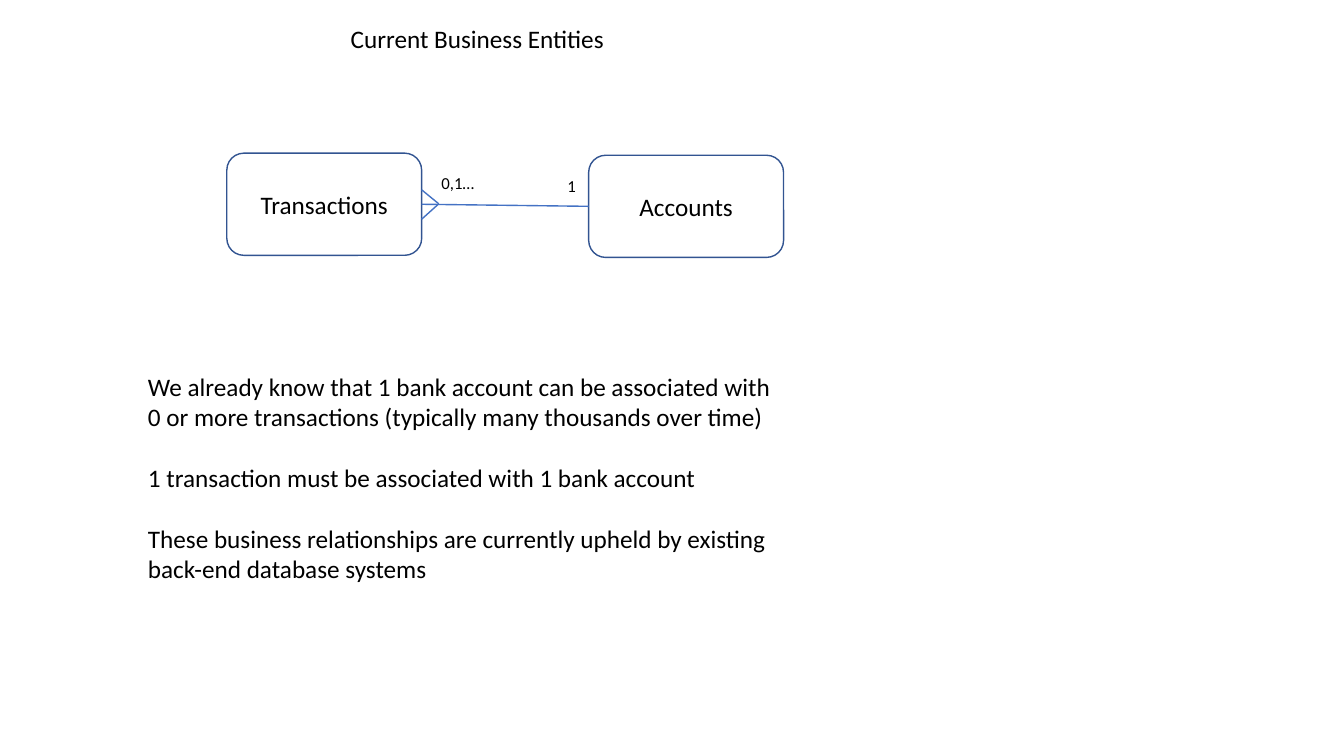
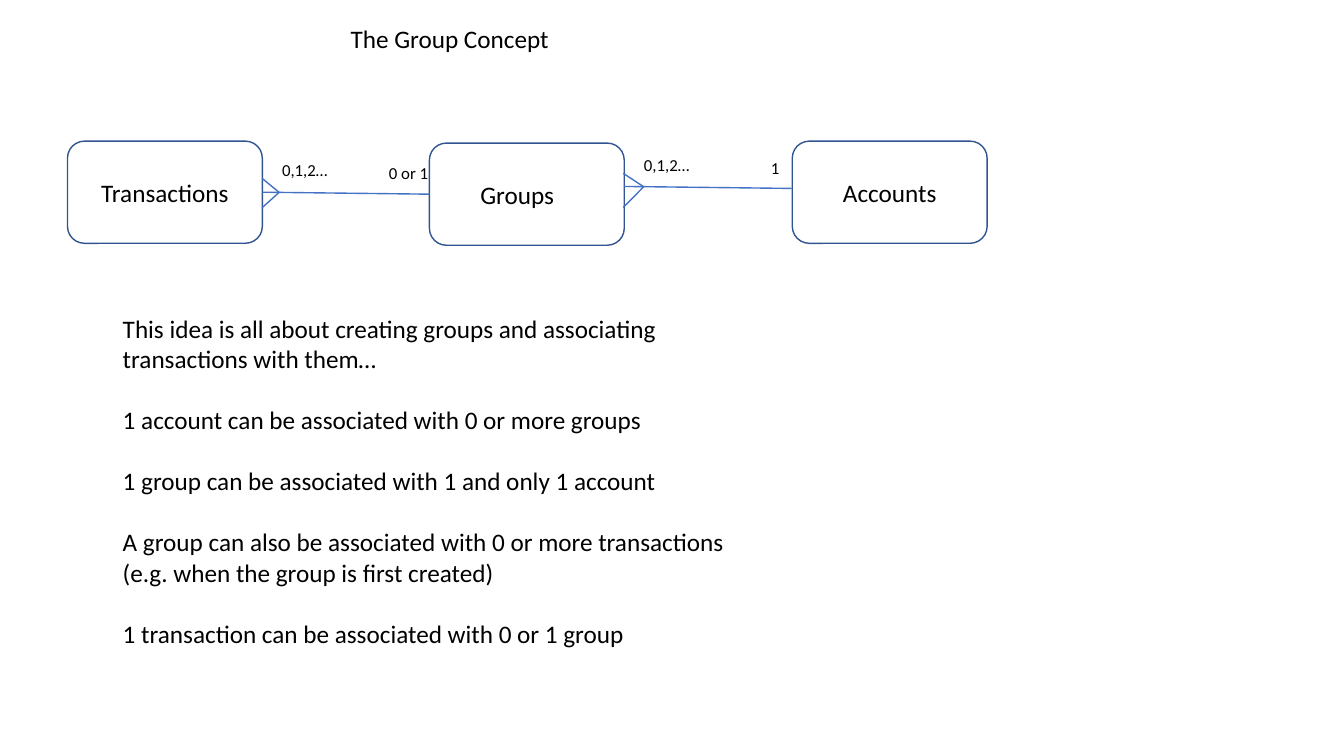
"""Two slides on how transactions, groups and accounts relate."""
from lxml.etree import SubElement
from pptx import Presentation
from pptx.dml.color import RGBColor
from pptx.enum.shapes import MSO_CONNECTOR, MSO_SHAPE
from pptx.enum.text import MSO_ANCHOR, PP_ALIGN
from pptx.oxml.ns import qn
from pptx.util import Pt

COLORS = {"text": "000000", "outline": "325491", "link": "4472C4"}
FONT = "Calibri"
BOX_WIDTH, BOX_HEIGHT = 139.2, 73
LINE_GAP = 22

SLIDES = [
    {
        "title": "Current Business Entities",
        "boxes": [("Transactions", 162, 109.4, 0), ("Accounts", 420.5, 110.9, 0)],
        "joined": [(1, 0)],
        "free": [],
        "feet": [(301.2, 313.4, 145.6, 10, 11)],
        "labels": [("1", 398.2, 121.7, 29.5), ("0,1…", 308.2, 119.5, 43.2)],
        "body": (98.6, 261.4, 160, [
            "We already know that 1 bank account can be associated with 0 or more "
            "transactions (typically many thousands over time)",
            "1 transaction must be associated with 1 bank account",
            "These business relationships are currently upheld by existing "
            "back-end database systems",
        ]),
    },
    {
        "title": "The Group Concept",
        "boxes": [("Transactions", 48.2, 100.8, 0), ("Groups", 306.7, 102.2, 13.6),
                  ("Accounts", 565.9, 100.8, 0)],
        "joined": [(1, 0)],
        "free": [(565.5, 134.6, 445.7, 133.2)],
        "feet": [(187.2, 199.4, 137.4, 10, 11), (445.2, 459.8, 133.4, 9.6, 14.8)],
        "labels": [("0 or 1", 270.7, 113, 43.5), ("0,1,2…", 194.4, 110.9, 52),
                   ("1", 543.6, 109.4, 29.5), ("0,1,2…", 452.9, 107.3, 53.3)],
        "body": (80.6, 220.3, 334, [
            "This idea is all about creating groups and associating transactions with them…",
            "1 account can be associated with 0 or more groups",
            "1 group can be associated with 1 and only 1 account",
            "A group can also be associated with 0 or more transactions "
            "(e.g. when the group is first created)",
            "1 transaction can be associated with 0 or 1 group",
        ]),
    },
]


def write_text(shape, texts, size, alignment=PP_ALIGN.LEFT):
    frame = shape.text_frame
    frame.word_wrap = True
    frame.text = "\n".join(texts)
    for index, paragraph in enumerate(frame.paragraphs):
        paragraph.alignment = alignment
        paragraph.space_before = Pt(LINE_GAP if index else 0)
        paragraph.font.name = FONT
        paragraph.font.size = Pt(size)
        paragraph.font.color.rgb = RGBColor.from_string(COLORS["text"])


def add_line(slide, *ends):
    line = slide.shapes.add_connector(MSO_CONNECTOR.STRAIGHT, *[Pt(end) for end in ends])
    line.line.color.rgb = RGBColor.from_string(COLORS["link"])
    line.line.width = Pt(1)
    SubElement(line._element.spPr, qn("a:effectLst"))
    return line


presentation = Presentation()
presentation.slide_width, presentation.slide_height = Pt(960), Pt(540)

for content in SLIDES:
    slide = presentation.slides.add_slide(presentation.slide_layouts[6])
    title = slide.shapes.add_textbox(Pt(243.4), Pt(13), Pt(309.6), Pt(29))
    write_text(title, [content["title"]], 18)

    boxes = []
    for name, left, top, right_padding in content["boxes"]:
        box = slide.shapes.add_shape(
            MSO_SHAPE.ROUNDED_RECTANGLE, Pt(left), Pt(top), Pt(BOX_WIDTH), Pt(BOX_HEIGHT))
        box.shadow.inherit = False
        box.fill.background()
        box.line.color.rgb = RGBColor.from_string(COLORS["outline"])
        box.line.width = Pt(1)
        write_text(box, [name], 18, PP_ALIGN.CENTER)
        box.text_frame.vertical_anchor = MSO_ANCHOR.MIDDLE
        box.text_frame.margin_right = Pt(7.2 + right_padding)
        boxes.append(box)

    for start, end in content["joined"]:
        link = add_line(slide, 0, 0, 0, 0)
        link.begin_connect(boxes[start], 1)
        link.end_connect(boxes[end], 3)
    for ends in content["free"]:
        add_line(slide, *ends)
    for left, tip, middle, rise, drop in content["feet"]:
        for toe in (middle - rise, middle + drop):
            add_line(slide, tip, middle, left, toe)

    for label, left, top, width in content["labels"]:
        write_text(slide.shapes.add_textbox(Pt(left), Pt(top), Pt(width), Pt(21.8)), [label], 12)

    left, top, height, paragraphs = content["body"]
    body = slide.shapes.add_textbox(Pt(left), Pt(top), Pt(467.3), Pt(height))
    write_text(body, paragraphs, 18)

presentation.save("out.pptx")
